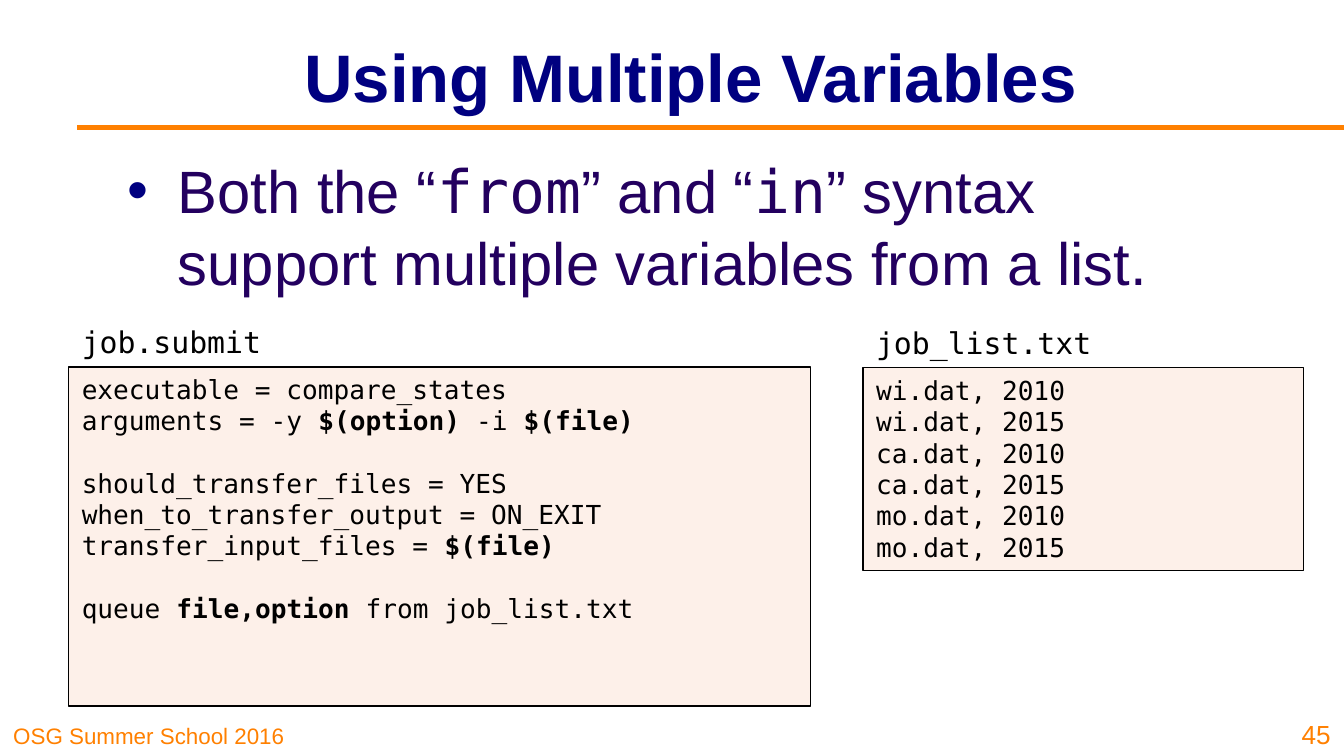
"""Build the slide on queueing jobs with multiple variables."""
from dataclasses import dataclass, field

from lxml import etree
from pptx import Presentation, util as u
from pptx.dml import color
from pptx.enum import shapes, text
from pptx.oxml import ns

PX = 4572


@dataclass(frozen=True)
class Theme:
    sans: str = "Arial"
    mono: str = "DejaVu Sans Mono"
    navy: str = "000080"
    plum: str = "23005F"
    gold: str = "FF8000"
    black: str = "000000"
    cream: str = "FDF0E9"
    head: int = 36
    body: int = 32
    name: int = 16
    code: int = 14
    foot: int = 12


T = Theme()


@dataclass(frozen=True)
class Run:
    words: str
    bold: bool = False
    face: str = ""


@dataclass(frozen=True)
class Line:
    runs: list[Run]
    gap: float = 0


@dataclass(frozen=True)
class Box:
    spot: tuple[int, int, int, int]
    lines: list[Line]
    size: int
    face: str = T.sans
    ink: str = T.black
    side: text.PP_ALIGN = text.PP_ALIGN.LEFT
    hold: text.MSO_ANCHOR = text.MSO_ANCHOR.TOP
    wrap: bool = True
    bullet: bool = False


@dataclass(frozen=True)
class File:
    name: str
    left: int
    top: int
    width: int
    height: int
    span: int
    lines: list[Line] = field(default_factory=list)


def px(*nums: int) -> list[u.Emu]:
    """Turn px into lengths."""
    return [u.Emu(n * PX) for n in nums]


def rgb(code: str) -> color.RGBColor:
    """Read a hex colour."""
    return color.RGBColor.from_string(code)


def line(words: str, bold: bool = False) -> Line:
    """Make a line of one run."""
    return Line([Run(words, bold)])


def mark(para) -> None:
    """Give a paragraph a hanging bullet."""
    props = para._p.get_or_add_pPr()
    indent = px(75)[0]
    props.set("marL", str(indent))
    props.set("indent", str(-indent))
    tint = etree.SubElement(props, ns.qn("a:buClr"))
    etree.SubElement(tint, ns.qn("a:srgbClr"), val=T.navy)
    etree.SubElement(props, ns.qn("a:buFont"), typeface=T.sans)
    etree.SubElement(props, ns.qn("a:buChar"), char="•")


def fill(shape, box: Box) -> None:
    """Write the lines of a box into a shape."""
    frame = shape.text_frame
    frame.word_wrap = box.wrap
    frame.vertical_anchor = box.hold
    for i, row in enumerate(box.lines):
        para = frame.add_paragraph() if i else frame.paragraphs[0]
        para.alignment = box.side
        if row.gap:
            para.space_before = u.Pt(row.gap)
        if box.bullet:
            mark(para)
        for part in row.runs:
            run = para.add_run()
            run.text = part.words
            font = run.font
            font.name = part.face or box.face
            font.size = u.Pt(box.size)
            font.bold = part.bold
            font.color.rgb = rgb(box.ink)


def label(slide, box: Box) -> None:
    """Draw a plain text box."""
    fill(slide.shapes.add_textbox(*px(*box.spot)), box)


def panel(slide, box: Box) -> None:
    """Draw a framed code panel."""
    shape = slide.shapes.add_shape(shapes.MSO_SHAPE.RECTANGLE, *px(*box.spot))
    shape.shadow.inherit = False
    shape.fill.solid()
    shape.fill.fore_color.rgb = rgb(T.cream)
    shape.line.color.rgb = rgb(T.black)
    shape.line.width = u.Pt(0.75)
    fill(shape, box)


def rule(slide) -> None:
    """Draw the line under the title."""
    bar = slide.shapes.add_connector(
        shapes.MSO_CONNECTOR.STRAIGHT, *px(115, 190, 2000, 190))
    bar.line.color.rgb = rgb(T.gold)
    bar.line.width = u.Pt(3)
    etree.SubElement(bar._element.spPr, ns.qn("a:effectLst"))


def listing(slide, file: File) -> None:
    """Draw a file name above its code panel."""
    high = 74
    label(slide, Box((file.left, file.top - high, file.span, high),
                     [line(file.name)], T.name, T.mono, wrap=False))
    panel(slide, Box((file.left, file.top, file.width, file.height),
                     file.lines, T.code, T.mono))


SKIP = 16.5
LABELS = [
    Box((0, 1063, 496, 62), [line("OSG Summer School 2016")], T.foot,
        ink=T.gold, hold=text.MSO_ANCHOR.BOTTOM),
    Box((268, 18, 1520, 188), [line("Using Multiple Variables", True)], T.head,
        ink=T.navy, side=text.PP_ALIGN.CENTER, hold=text.MSO_ANCHOR.MIDDLE),
    Box((170, 219, 1700, 768), [Line([
        Run("Both the “"), Run("from", face=T.mono), Run("” and “"),
        Run("in", face=T.mono),
        Run("” syntax support multiple variables from a list.")])],
        T.body, ink=T.plum, bullet=True),
    Box((1908, 1050, 92, 75), [line("45")], T.code, ink=T.gold,
        side=text.PP_ALIGN.RIGHT, hold=text.MSO_ANCHOR.BOTTOM),
]
FILES = [
    File("job.submit", 102, 546, 1104, 505, 310, [
        line("executable = compare_states"),
        Line([Run("arguments = -y "), Run("$(option) ", True), Run("-i "),
              Run("$(file)", True)]),
        Line([Run("should_transfer_files = YES")], SKIP),
        line("when_to_transfer_output = ON_EXIT"),
        Line([Run("transfer_input_files = "), Run("$(file)", True)]),
        Line([Run("queue "), Run("file,option ", True),
              Run("from job_list.txt")], SKIP),
    ]),
    File("job_list.txt", 1284, 547, 656, 302, 364, [
        line(f"{state}.dat, {year}")
        for state in ("wi", "ca", "mo") for year in (2010, 2015)]),
]


def main() -> None:
    """Build and save the slide."""
    deck = Presentation()
    deck.slide_width, deck.slide_height = px(2000, 1125)
    slide = deck.slides.add_slide(deck.slide_layouts[6])
    rule(slide)
    for box in LABELS:
        label(slide, box)
    for file in FILES:
        listing(slide, file)
    deck.save("out.pptx")


if __name__ == "__main__":
    main()
